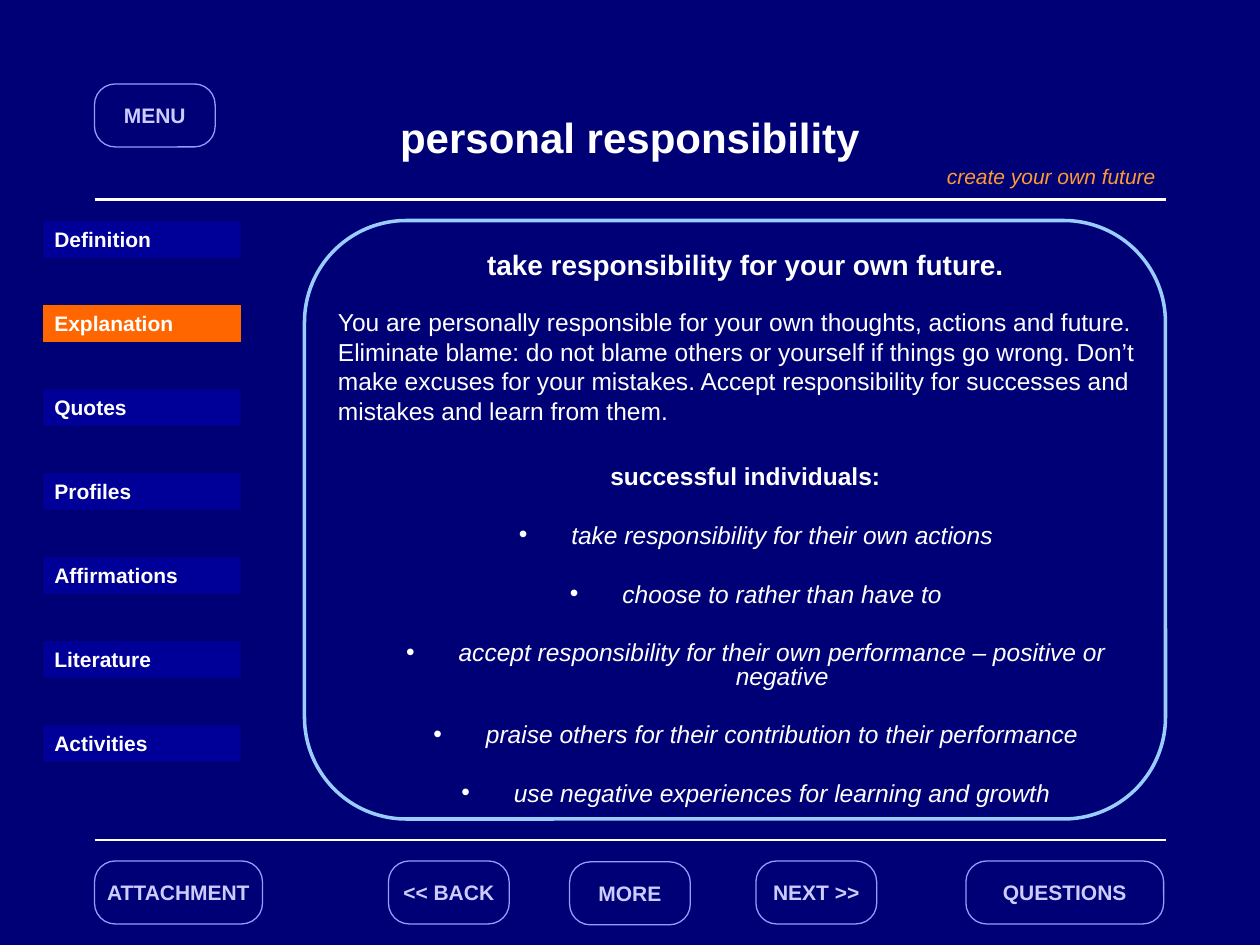
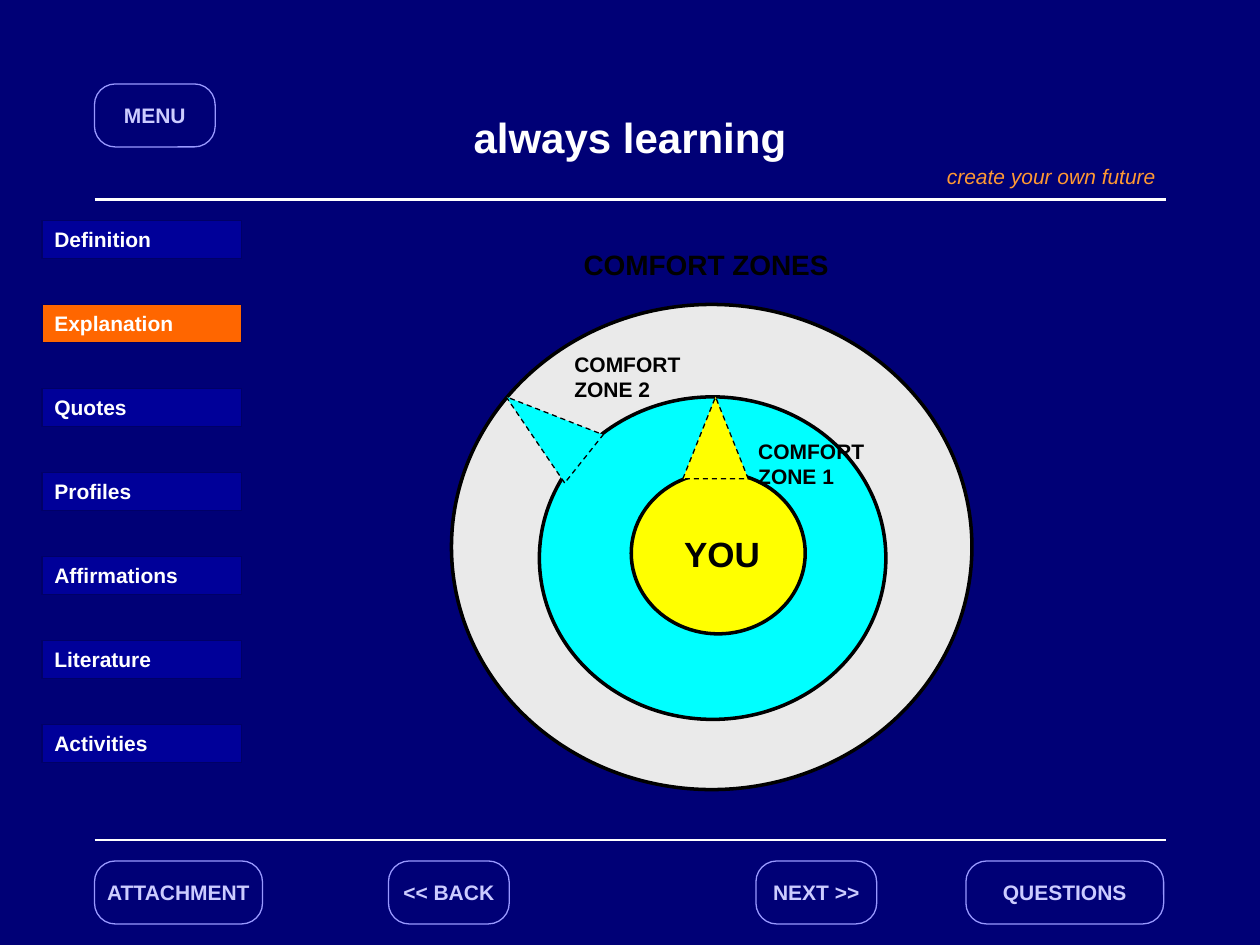
"""Build two lesson slides with a shared navigation frame."""
from dataclasses import dataclass

from lxml import etree
from pptx import Presentation
from pptx import util as u
from pptx.dml.color import RGBColor
from pptx.enum import dml, shapes, text
from pptx.oxml import ns

Pt = u.Pt
Kind = shapes.MSO_SHAPE
Align = text.PP_ALIGN
Anchor = text.MSO_ANCHOR


@dataclass(frozen=True)
class Theme:
    font: str = "Arial"
    navy: str = "000076"
    tab: str = "000099"
    tab_edge: str = "000066"
    active: str = "FF6600"
    white: str = "FFFFFF"
    black: str = "000000"
    button_edge: str = "9999FF"
    button_text: str = "CCCCFF"
    tagline: str = "FF9933"
    panel_edge: str = "99CCFF"
    outer: str = "EAEAEA"
    middle: str = "00FFFF"
    inner: str = "FFFF00"
    title_size: int = 24
    you_size: int = 20
    heading_size: int = 16
    body_size: int = 14
    small_size: int = 12


TOPICS = ["Definition", "Explanation", "Quotes", "Profiles",
          "Affirmations", "Literature", "Activities"]
HABITS = ["take responsibility for their own actions",
          "choose to rather than have to",
          "accept responsibility for their own performance – positive or negative",
          "praise others for their contribution to their performance",
          "use negative experiences for learning and growth"]
EXPLANATION = (
    "You are personally responsible for your own thoughts, actions and future. "
    "Eliminate blame: do not blame others or yourself if things go wrong. "
    "Don’t make excuses for your mistakes. Accept responsibility for successes "
    "and mistakes and learn from them.")


class Painter:
    def __init__(self, deck, theme):
        self.deck = deck
        self.theme = theme
        self.slide = None

    def new_slide(self):
        self.slide = self.deck.slides.add_slide(self.deck.slide_layouts[6])
        fill = self.slide.background.fill
        fill.solid()
        fill.fore_color.rgb = RGBColor.from_string(self.theme.navy)

    def rule(self, y):
        line = self.slide.shapes.add_connector(
            shapes.MSO_CONNECTOR.STRAIGHT, Pt(54), Pt(y), Pt(666), Pt(y))
        line.line.color.rgb = RGBColor.from_string(self.theme.white)
        line.line.width = Pt(1.25)
        etree.SubElement(line._element.spPr, ns.qn("a:effectLst"))

    def shape(self, kind, area, fill, edge, width=0.75, dashed=False):
        shape = self.slide.shapes.add_shape(kind, *map(Pt, area))
        shape.shadow.inherit = False
        if fill:
            shape.fill.solid()
            shape.fill.fore_color.rgb = RGBColor.from_string(fill)
        else:
            shape.fill.background()
        shape.line.color.rgb = RGBColor.from_string(edge)
        shape.line.width = Pt(width)
        if dashed:
            shape.line.dash_style = dml.MSO_LINE.DASH
        return shape

    def style(self, para, size, color, bold=False, italic=False,
              align=Align.LEFT, before=0, spacing=None):
        para.alignment = align
        para.space_before = Pt(before)
        para.line_spacing = spacing
        for span in para.runs:
            span.font.name = self.theme.font
            span.font.size = Pt(size)
            span.font.bold = bold
            span.font.italic = italic
            span.font.color.rgb = RGBColor.from_string(color)

    def label(self, area, words, size, color, anchor=Anchor.TOP, **look):
        box = self.slide.shapes.add_textbox(*map(Pt, area))
        self.set_words(box, words, size, color, anchor, **look)

    def set_words(self, box, words, size, color, anchor=Anchor.TOP, wrap=True,
                  **look):
        frame = box.text_frame
        frame.word_wrap = wrap
        frame.vertical_anchor = anchor
        frame.text = words
        self.style(frame.paragraphs[0], size, color, **look)

    def button(self, words, left, top=492, width=69):
        theme = self.theme
        shape = self.shape(Kind.ROUNDED_RECTANGLE, (left, top, width, 36),
                           theme.navy, theme.button_edge)
        shape.adjustments[0] = 0.33
        self.set_words(shape, words, theme.small_size, theme.button_text,
                       Anchor.MIDDLE, wrap=False, bold=True, align=Align.CENTER)

    def bullet(self, para):
        properties = para._p.get_or_add_pPr()
        properties.set("marL", str(Pt(42)))
        properties.set("indent", str(Pt(-30)))
        color = etree.SubElement(properties, ns.qn("a:buClr"))
        etree.SubElement(color, ns.qn("a:srgbClr"), val=self.theme.white)
        etree.SubElement(properties, ns.qn("a:buFont"), typeface=self.theme.font)
        etree.SubElement(properties, ns.qn("a:buChar"), char="•")

    def topics(self, active):
        theme = self.theme
        for row, topic in enumerate(TOPICS):
            fill = theme.active if topic == active else theme.tab
            tab = self.shape(Kind.RECTANGLE, (24, 126 + 48 * row, 114, 21.6),
                             fill, theme.tab_edge)
            self.set_words(tab, topic, theme.small_size, theme.white, bold=True)

    def frame(self, title):
        theme = self.theme
        self.new_slide()
        for y in (114, 480):
            self.rule(y)
        self.label((534, 90, 138, 21.6), "create your own future",
                   theme.small_size, theme.tagline, italic=True)
        self.label((54, 48, 612, 60), title, theme.title_size, theme.white,
                   Anchor.MIDDLE, bold=True, align=Align.CENTER)
        self.topics("Explanation")
        self.button("MENU", 54, top=48)
        self.button("ATTACHMENT", 54, width=96)
        self.button("<< BACK", 222)
        self.button("NEXT >>", 432)
        self.button("QUESTIONS", 552, width=113)

    def body(self):
        theme = self.theme
        box = self.slide.shapes.add_textbox(Pt(186), Pt(138), Pt(480), Pt(330))
        frame = box.text_frame
        frame.word_wrap = True
        frame.text = "\n".join(["take responsibility for your own future.",
                                EXPLANATION, "successful individuals:", *HABITS])
        heading, explanation, lead, *habits = frame.paragraphs
        self.style(heading, theme.heading_size, theme.white, bold=True,
                   align=Align.CENTER)
        self.style(explanation, theme.body_size, theme.white, before=15)
        self.style(lead, theme.body_size, theme.white, bold=True,
                   align=Align.CENTER, before=24, spacing=0.8)
        for habit in habits:
            self.style(habit, theme.body_size, theme.white, italic=True,
                       align=Align.CENTER, before=20, spacing=0.8)
            self.bullet(habit)


def responsibility_slide(painter):
    painter.frame("personal responsibility")
    painter.button("MORE", 325.5, top=492.5)
    painter.body()
    panel = painter.shape(Kind.ROUNDED_RECTANGLE, (174, 126, 492, 342),
                          None, painter.theme.panel_edge, width=2)
    panel.adjustments[0] = 0.17


def learning_slide(painter):
    theme = painter.theme
    painter.frame("always learning")
    painter.label((306, 138, 195, 30), "COMFORT ZONES", theme.heading_size,
                  theme.black, bold=True, align=Align.CENTER)
    zones = [((258, 174, 297.4, 277.2), theme.outer),
             ((308.2, 226.8, 198, 184.3), theme.middle),
             ((360.7, 270, 99.4, 92.2), theme.inner)]
    for area, fill in zones:
        painter.shape(Kind.OVAL, area, fill, theme.black, width=2)
    growth = [((390.2, 226.8, 37.4, 46.8), theme.inner, 0),
              ((293.8, 216, 35.3, 56.9), theme.middle, 308.6)]
    for area, fill, angle in growth:
        spike = painter.shape(Kind.ISOSCELES_TRIANGLE, area, fill, theme.black,
                              dashed=True)
        spike.rotation = angle
    names = [("YOU", (383.8, 301, 66.2, 23), theme.you_size),
             ("COMFORT ZONE 1", (426.2, 247, 82.8, 29.5), theme.small_size),
             ("COMFORT ZONE 2", (321.1, 197.3, 92.9, 29.5), theme.small_size)]
    for words, area, size in names:
        painter.label(area, words, size, theme.black, bold=True)


def main():
    deck = Presentation()
    deck.slide_width, deck.slide_height = Pt(720), Pt(540)
    painter = Painter(deck, Theme())
    responsibility_slide(painter)
    learning_slide(painter)
    deck.save("out.pptx")


if __name__ == "__main__":
    main()
